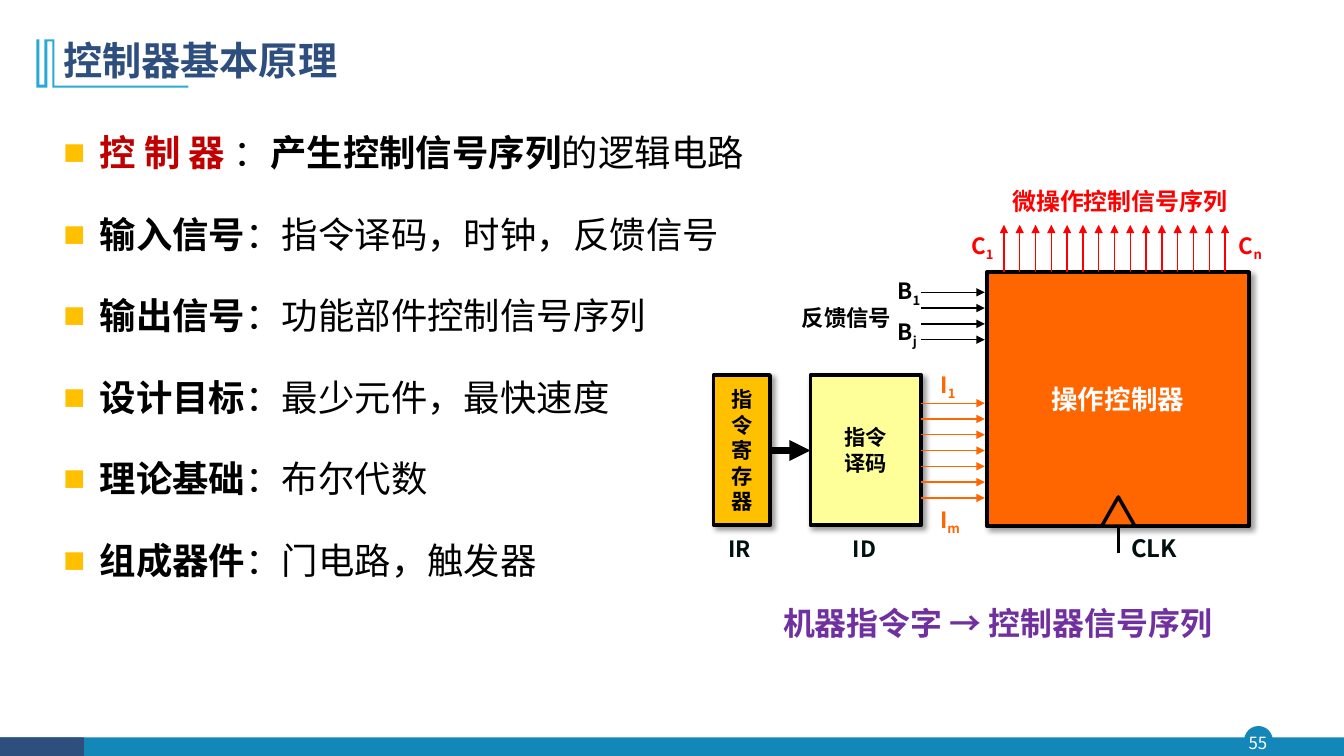
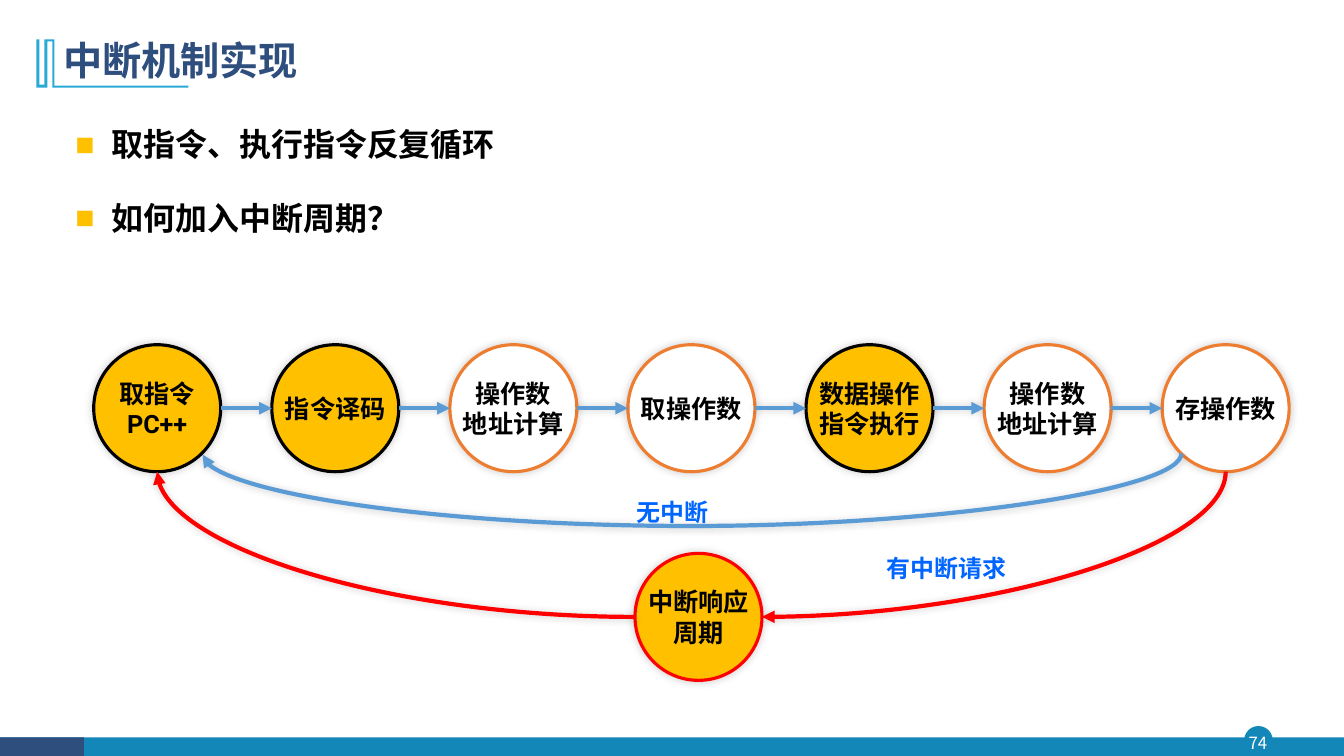
"""Build two lecture slides on a CPU controller and its interrupt cycle."""
from lxml import etree
from pptx import Presentation
from pptx.dml.color import RGBColor
from pptx.enum.shapes import MSO_CONNECTOR, MSO_SHAPE
from pptx.enum.text import MSO_ANCHOR, MSO_AUTO_SIZE, PP_ALIGN
from pptx.oxml.ns import qn
from pptx.util import Emu, Pt

STRAIGHT, CURVE = MSO_CONNECTOR.STRAIGHT, MSO_CONNECTOR.CURVE
RECTANGLE, OVAL = MSO_SHAPE.RECTANGLE, MSO_SHAPE.OVAL
TRIANGLE = MSO_SHAPE.ISOSCELES_TRIANGLE
LEFT, CENTER = PP_ALIGN.LEFT, PP_ALIGN.CENTER
TOP, MIDDLE = MSO_ANCHOR.TOP, MSO_ANCHOR.MIDDLE
GROW, FIXED = MSO_AUTO_SIZE.SHAPE_TO_FIT_TEXT, MSO_AUTO_SIZE.NONE

COLUMNS, ROWS = 80, 45
WIDTH, HEIGHT = Emu(12192000), Emu(6858000)
CELL = WIDTH // COLUMNS

BLACK = RGBColor(0x00, 0x00, 0x00)
WHITE = RGBColor(0xFF, 0xFF, 0xFF)
NAVY = RGBColor(0x2E, 0x4E, 0x7E)
TEAL = RGBColor(0x13, 0x87, 0xB7)
CYAN = RGBColor(0x28, 0xA9, 0xD6)
AMBER = RGBColor(0xFF, 0xC0, 0x00)
YELLOW = RGBColor(0xFF, 0xFF, 0x99)
ORANGE = RGBColor(0xFF, 0x66, 0x00)
RUST = RGBColor(0xED, 0x7D, 0x31)
RED = RGBColor(0xFF, 0x00, 0x00)
CRIMSON = RGBColor(0xC0, 0x00, 0x00)
PURPLE = RGBColor(0x70, 0x30, 0xA0)
SKY = RGBColor(0x5B, 0x9B, 0xD5)
BLUE = RGBColor(0x00, 0x66, 0xFF)
INK = RGBColor(0x00, 0x10, 0x10)

SANS, ROBOTO = "Noto Sans CJK SC", "Roboto"
SPACED = {"line_spacing": 1.5, "space_after": Pt(5.7)}
DROP = {"alpha": 40, "blur": 4, "distance": 3, "angle": 45}
GLOW = {"alpha": 20, "blur": 6, "distance": 0, "angle": 315}
WIRE_GAP = 0.94


def cells(*values):
    """Turn grid units into lengths."""
    return [Emu(round(value * CELL)) for value in values]


def assign(target, formats):
    """Set every attribute named in a dict."""
    for name, value in formats.items():
        setattr(target, name, value)


def add_child(parent, tag, **attributes):
    """Append one drawing element with its attributes."""
    child = etree.SubElement(parent, qn("a:" + tag))
    for name, value in attributes.items():
        child.set(name, str(value))
    return child


def add_span(para, text, color, size, bold=True, font=SANS, baseline=0):
    """Append a formatted run."""
    span = para.add_run()
    span.text = text
    assign(span.font, {"name": font, "size": Pt(size), "bold": bold})
    span.font.color.rgb = color
    if baseline:
        span.font._element.set("baseline", str(baseline * 1000))


def cast_shadow(item, alpha, blur, distance, angle):
    """Give a shape or connector an outer shadow."""
    effects = item._element.spPr.find(qn("a:effectLst"))
    outer = add_child(effects, "outerShdw", blurRad=Pt(blur), dist=Pt(distance),
                      dir=angle * 60000, algn="ctr", rotWithShape=0)
    tone = add_child(outer, "srgbClr", val=BLACK)
    add_child(tone, "alpha", val=alpha * 1000)


def add_figure(page, kind, place, fill, line=None, weight=1, shadow=None):
    """Draw a filled preset shape."""
    figure = page.shapes.add_shape(kind, *cells(*place))
    figure.shadow.inherit = False
    figure.fill.solid()
    figure.fill.fore_color.rgb = fill
    if line is None:
        figure.line.fill.background()
    else:
        figure.line.color.rgb = line
        figure.line.width = Pt(weight)
    if shadow:
        cast_shadow(figure, **shadow)
    return figure


def fill_figure(figure, lines, size, color=BLACK, wrap=True):
    """Centre lines of text inside a shape."""
    frame = figure.text_frame
    assign(frame, {"word_wrap": wrap, "vertical_anchor": MIDDLE})
    for index, text in enumerate(lines):
        para = frame.add_paragraph() if index else frame.paragraphs[0]
        para.alignment = CENTER
        add_span(para, text, color, size, font=ROBOTO)


def add_box(page, place, wrap=False, size_rule=GROW, anchor=TOP):
    """Add an empty text box and return its frame."""
    frame = page.shapes.add_textbox(*cells(*place)).text_frame
    assign(frame, {"word_wrap": wrap, "auto_size": size_rule,
                   "vertical_anchor": anchor})
    return frame


def add_label(page, place, text, color, size=16, subscript="", font=SANS,
              align=CENTER, spacing=None, wrap=False):
    """Write a one-line label, with an optional subscript."""
    para = add_box(page, place, wrap).paragraphs[0]
    para.alignment = align
    assign(para, spacing or {})
    add_span(para, text, color, size, font=font)
    if subscript:
        add_span(para, subscript, color, size, font=font, baseline=-25)


def add_bullets(page, place, items, size, size_rule):
    """Write square-bulleted paragraphs made of (text, color, bold) spans."""
    frame = add_box(page, place, True, size_rule)
    for index, spans in enumerate(items):
        para = frame.add_paragraph() if index else frame.paragraphs[0]
        settings = para._p.get_or_add_pPr()
        settings.set("marL", "330000")
        settings.set("indent", "-330000")
        add_child(add_child(settings, "buClr"), "srgbClr", val=AMBER)
        add_child(settings, "buFont", typeface="Arial")
        add_child(settings, "buChar", char="■")
        assign(para, SPACED)
        if index:
            para.space_before = Pt(5.7)
        for text, color, bold in spans:
            add_span(para, text, color, size, bold)


def style_connector(connector, color, weight, shadow=None):
    """Colour a connector and end it with an arrowhead."""
    connector.line.color.rgb = color
    connector.line.width = Pt(weight)
    add_child(connector.line._get_or_add_ln(), "tailEnd", type="triangle")
    add_child(connector._element.spPr, "effectLst")
    if shadow:
        cast_shadow(connector, **shadow)


def add_arrow(page, start, end, color, weight=1, shadow=None):
    """Draw a straight arrow."""
    connector = page.shapes.add_connector(STRAIGHT, *cells(*start, *end))
    style_connector(connector, color, weight, shadow)


def add_curve(page, place, turn, color, bulge=None):
    """Draw a turned curved arrow; a bulge makes it a return loop."""
    left, top, width, height = place
    ends = cells(left, top, left + width, top + height)
    connector = page.shapes.add_connector(CURVE, *ends)
    settings = connector._element.spPr
    settings.find(qn("a:xfrm")).set("rot", str(turn * 60000))
    geometry = settings.find(qn("a:prstGeom"))
    geometry.set("prst", "curvedConnector3" if bulge else "curvedConnector2")
    if bulge:
        guides = geometry.find(qn("a:avLst"))
        if guides is None:
            guides = add_child(geometry, "avLst")
        add_child(guides, "gd", name="adj1", fmla=f"val {bulge * 100000}")
    style_connector(connector, color, 3, GLOW)


def add_title_mark(page):
    """Draw the double bar and underline beside the title."""
    points = [(3.24, 2.34), (3.24, 5.1), (11.22, 5.1), (11.22, 5.22),
              (3.12, 5.22), (3.12, 2.46), (2.82, 2.46), (2.82, 5.22),
              (2.16, 5.22), (2.16, 2.34), (2.34, 2.34), (2.34, 5.04),
              (2.64, 5.04), (2.64, 2.34)]
    corners = [cells(*point) for point in points]
    builder = page.shapes.build_freeform(*corners[0])
    builder.add_line_segments(corners[1:], close=True)
    mark = builder.convert_to_shape()
    mark.shadow.inherit = False
    mark.fill.solid()
    mark.fill.fore_color.rgb = CYAN
    mark.line.fill.background()


def add_page(deck, title, number):
    """Add a slide with the shared footer, title mark and title."""
    page = deck.slides.add_slide(deck.slide_layouts[6])
    add_figure(page, OVAL, (74.1, 43.26, 1.62, 1.62), TEAL, TEAL)
    add_figure(page, RECTANGLE, (0, 43.9, COLUMNS, 1.1), TEAL)
    add_figure(page, RECTANGLE, (0, 43.9, 5, 1.1), NAVY)
    frame = add_box(page, (73.92, 43.26, 1.92, 1.86), True, FIXED, MIDDLE)
    assign(frame, dict.fromkeys(
        ("margin_left", "margin_right", "margin_top", "margin_bottom"), 0))
    frame.paragraphs[0].alignment = CENTER
    add_span(frame.paragraphs[0], number, WHITE, 12, False)
    add_title_mark(page)
    frame = add_box(page, (3.18, 1.68, 69, 4.08), True, FIXED, MIDDLE)
    frame.paragraphs[0].line_spacing = 0.9
    add_span(frame.paragraphs[0], title, NAVY, 28)
    return page


def add_wires(page):
    """Draw the three bundles of signal arrows."""
    for index in range(15):
        column = 59.76 + index * WIRE_GAP
        add_arrow(page, (column, 16.2), (column, 13.38), RED)
    for first, count, color in ((24, 7, ORANGE), (17.4, 4, BLACK)):
        for index in range(count):
            row = first + index * WIRE_GAP
            add_arrow(page, (54.84, row), (58.62, row), color)


def build_controller(deck):
    """Build the slide on how a controller works."""
    page = add_page(deck, "控制器基本原理", "55")
    facts = [("输入信号", "指令译码，时钟，反馈信号"),
             ("输出信号", "功能部件控制信号序列"),
             ("设计目标", "最少元件，最快速度"),
             ("理论基础", "布尔代数"),
             ("组成器件", "门电路，触发器")]
    items = [[("控 制 器 ", CRIMSON, True), ("：", BLACK, False),
              ("产生控制信号序列", BLACK, True), ("的逻辑电路", BLACK, False)]]
    items += [[(term, BLACK, True), ("：" + text, BLACK, False)]
              for term, text in facts]
    add_bullets(page, (3.18, 6.18, 69, 36.96), items, 26, FIXED)

    blocks = [((42.48, 22.32, 3.36, 8.94), AMBER, ["指令寄存器"], 15.2, BLACK),
              ((48.24, 22.32, 6.6, 8.94), YELLOW, ["指令", "译码"], 15.2, BLACK),
              ((58.74, 16.2, 15.6, 15.12), ORANGE, ["操作控制器"], 18.9, WHITE)]
    for place, fill, lines, size, color in blocks:
        block = add_figure(page, RECTANGLE, place, fill, BLACK, 2.5, DROP)
        fill_figure(block, lines, size, color)
    add_wires(page)
    add_arrow(page, (45.84, 26.82), (48.24, 26.82), BLACK, 5)
    add_arrow(page, (66.6, 32.94), (66.6, 30.48), BLACK, 2)
    add_figure(page, TRIANGLE, (65.58, 29.58, 1.98, 1.74), ORANGE, BLACK, 2.5)

    signals = [(55.32, 21.78, 2.22, "I", "1", ORANGE),
               (55.26, 29.82, 2.58, "I", "m", ORANGE),
               (57.12, 13.5, 2.7, "C", "1", RED),
               (73.08, 13.5, 2.7, "C", "n", RED),
               (52.74, 16.2, 2.7, "B", "1", BLACK),
               (52.8, 18.66, 2.4, "B", "j", BLACK),
               (47.1, 17.82, 6.6, "反馈信号", "", BLACK)]
    for left, top, width, text, subscript, color in signals:
        add_label(page, (left, top, width, 2.22), text, color,
                  subscript=subscript)
    for left, text in ((42.48, "IR"), (49.92, "ID")):
        add_label(page, (left, 31.56, 3.06, 2.22), text, INK, wrap=True)
    add_label(page, (59.58, 10.8, 14.16, 2.34), "微操作控制信号序列", RED, 17.1)
    add_label(page, (66.72, 31.44, 3.96, 2.34), "CLK", INK, 17.1)
    add_label(page, (46.02, 34.5, 27.12, 4.08), "机器指令字 → 控制器信号序列",
              PURPLE, 22.8, align=LEFT, spacing=SPACED)


def build_interrupt(deck):
    """Build the slide on the interrupt cycle."""
    page = add_page(deck, "中断机制实现", "74")
    items = [[(text, BLACK, True)]
             for text in ("取指令、执行指令反复循环", "如何加入中断周期？")]
    add_bullets(page, (3.9, 6, 70.92, 8.52), items, 22.8, GROW)

    first, pitch, row, diameter = 5.58, 10.6, 20.52, 7.56
    steps = [(["取指令", "PC++"], True), (["指令译码"], True),
             (["操作数", "地址计算"], False), (["取操作数"], False),
             (["数据操作", "指令执行"], True), (["操作数", "地址计算"], False),
             (["存操作数"], False)]
    states = [(first + index * pitch, row, lines,
               AMBER if main_step else WHITE, BLACK if main_step else RUST)
              for index, (lines, main_step) in enumerate(steps)]
    states.append((37.8, 32.94, ["中断响应", "周期"], AMBER, RED))
    for left, top, lines, fill, line in states:
        state = add_figure(page, OVAL, (left, top, diameter, diameter), fill,
                           line, 2.25, GLOW)
        fill_figure(state, lines, 18, wrap=False)
    middle = row + diameter / 2
    for left, *_ in states[:len(steps) - 1]:
        add_arrow(page, (left + diameter, middle), (left + pitch, middle),
                  SKY, 3, GLOW)

    add_curve(page, (41.16, -2.1, 0.06, 58.26), 90, SKY, bulge=73)
    add_curve(page, (54.84, 18.6, 8.64, 27.6), 90, RED)
    add_curve(page, (9.36, 28.08, 28.44, 8.64), 180, RED)
    for place, text in (((37.32, 28.44, 5.52, 2.88), "无中断"),
                        ((52.2, 31.8, 8.4, 2.88), "有中断请求")):
        add_label(page, place, text, BLUE, 17.1, font=ROBOTO, align=LEFT,
                  spacing=SPACED)


def main():
    """Create the deck and save it."""
    deck = Presentation()
    assign(deck, {"slide_width": WIDTH, "slide_height": HEIGHT})
    build_controller(deck)
    build_interrupt(deck)
    deck.save("out.pptx")


if __name__ == "__main__":
    main()
